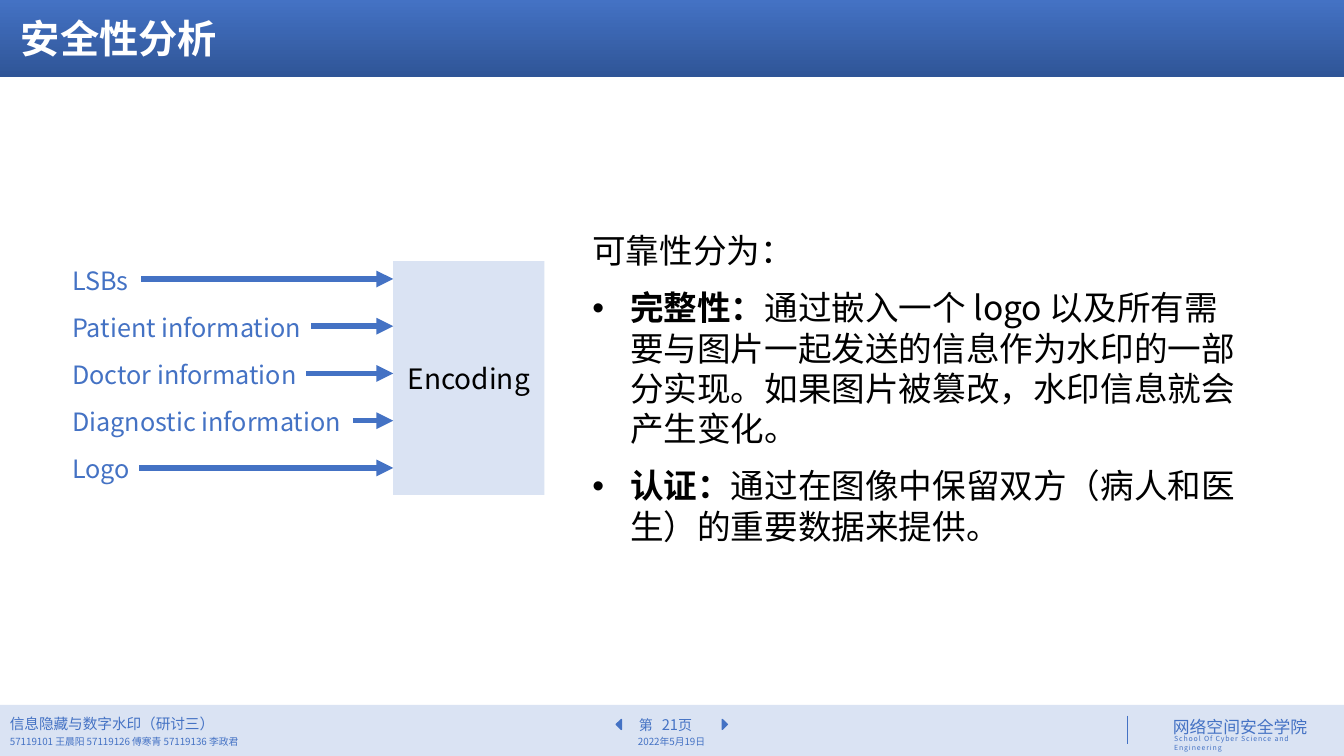
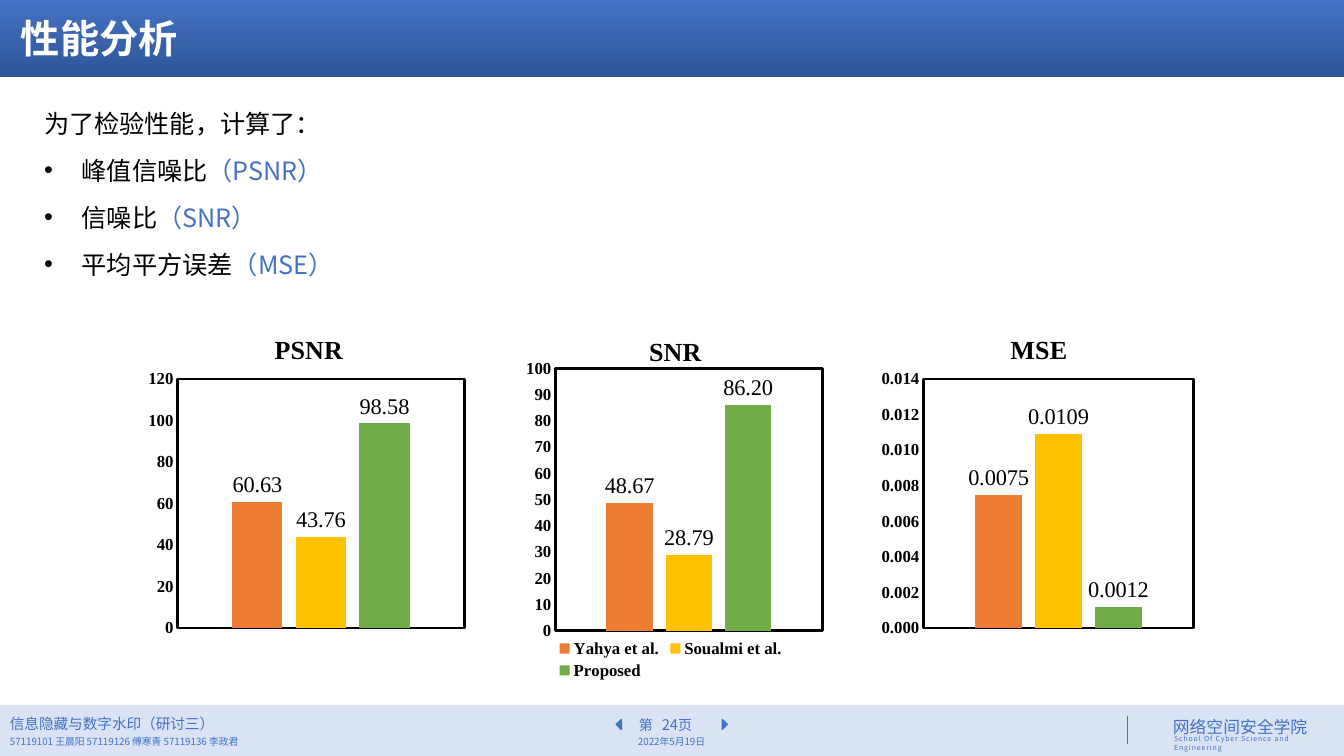
from dataclasses import dataclass

from lxml import etree
from pptx import Presentation
from pptx import util as u
from pptx.chart.data import CategoryChartData
from pptx.dml.color import RGBColor
from pptx.enum import chart as ch, shapes, text
from pptx.oxml import parse_xml
from pptx.oxml.ns import nsdecls, qn

Cm, Pt = u.Cm, u.Pt
LEFT, CENTER = text.PP_ALIGN.LEFT, text.PP_ALIGN.CENTER
TOP, MIDDLE = text.MSO_ANCHOR.TOP, text.MSO_ANCHOR.MIDDLE


@dataclass(frozen=True)
class Theme:
    blue: str = "4472C4"
    navy: str = "2F5597"
    pale: str = "DAE3F3"
    white: str = "FFFFFF"
    black: str = "000000"
    series: tuple = ("ED7D31", "FFC000", "70AD47")
    sans: str = "Noto Sans CJK SC"
    school: str = "Noto Sans CJK JP"
    serif: str = "Times New Roman"
    title: float = 28
    body: float = 24
    node: float = 20
    label: float = 18
    value: float = 16
    axis: float = 12
    footer: float = 10.5
    small: float = 7
    tiny: float = 5
    width: float = 33.87
    height: float = 19.05


T = Theme()


def rgb(color):
    return RGBColor.from_string(color)


def set_font(font, size, color=T.black, name=T.sans, bold=False):
    font.size, font.name, font.bold = Pt(size), name, bold
    font.color.rgb = rgb(color)


def add_run(p, words, size, color=T.black, name=T.sans, bold=False, spacing=0):
    """Add one run; spacing is the extra room after each letter in points."""
    r = p.add_run()
    r.text = words
    set_font(r.font, size, color, name, bold)
    props = r._r.get_or_add_rPr()
    etree.SubElement(props, qn("a:ea")).set("typeface", name)
    if spacing:
        props.set("spc", str(round(spacing * 100)))


def add_text(s, x, y, w, h, anchor=TOP):
    tf = s.shapes.add_textbox(Cm(x), Cm(y), Cm(w), Cm(h)).text_frame
    tf.word_wrap = True
    tf.vertical_anchor = anchor
    return tf


def add_label(s, words, x, y, w, h, size, color=T.blue, name=T.sans,
              align=LEFT, anchor=TOP, bold=False, spacing=0):
    p = add_text(s, x, y, w, h, anchor).paragraphs[0]
    p.alignment = align
    add_run(p, words, size, color, name, bold, spacing)


def add_box(s, x, y, w, h, fill, kind=shapes.MSO_SHAPE.RECTANGLE):
    sp = s.shapes.add_shape(kind, Cm(x), Cm(y), Cm(w), Cm(h))
    sp.shadow.inherit = False
    sp.fill.solid()
    sp.fill.fore_color.rgb = rgb(fill)
    sp.line.fill.background()
    return sp


def add_line(s, x1, y1, x2, y2, width, arrow=False):
    line = s.shapes.add_connector(
        shapes.MSO_CONNECTOR.STRAIGHT, Cm(x1), Cm(y1), Cm(x2), Cm(y2))
    line.line.color.rgb = rgb(T.blue)
    line.line.width = Pt(width)
    if arrow:
        etree.SubElement(line.line._get_or_add_ln(), qn("a:tailEnd")).set("type", "triangle")
    etree.SubElement(line._element.spPr, qn("a:effectLst"))


def add_bullets(s, x, y, w, h, size, intro, items):
    """Add an intro line and bullets; an item is a list of (words, font options)."""
    tf = add_text(s, x, y, w, h, MIDDLE)
    p = tf.paragraphs[0]
    p.space_after = Pt(12)
    add_run(p, intro, size)
    for item in items:
        p = tf.add_paragraph()
        p.space_after = Pt(12)
        props = p._p.get_or_add_pPr()
        indent = Cm(0.95)
        props.set("marL", str(indent))
        props.set("indent", str(-indent))
        etree.SubElement(props, qn("a:buFont")).set("typeface", "Arial")
        etree.SubElement(props, qn("a:buChar")).set("char", "•")
        for words, options in item:
            add_run(p, words, size, **options)


def add_header(s, title):
    band = add_box(s, 0, 0, T.width, 1.95, T.blue)
    band.fill.gradient()
    band.fill.gradient_angle = 270
    for stop, color in zip(band.fill.gradient_stops, (T.blue, T.navy)):
        stop.color.rgb = rgb(color)
    add_label(s, title, 0.28, 0.25, 33.22, 1.42, T.title, T.white,
              anchor=MIDDLE, bold=True)


def add_footer(s, page):
    add_box(s, 0, 17.76, T.width, 1.29, T.pale)
    add_label(s, "信息隐藏与数字水印（研讨三）", 0, 17.88, 11.35, 0.71, T.footer,
              anchor=MIDDLE)
    add_label(s, "57119101 王晨阳 57119126 傅寒青 57119136 李政君",
              0, 18.44, 11.35, 0.48, T.small, anchor=MIDDLE)
    add_label(s, "2022年5月19日", 15.39, 18.42, 3.07, 0.51, T.small,
              align=CENTER, anchor=MIDDLE)

    p = add_text(s, 15.85, 17.92, 2.3, 0.69, MIDDLE).paragraphs[0]
    add_run(p, "第", 10, T.blue, spacing=6.5)
    add_run(p, str(page), T.footer, T.blue)
    add_run(p, "页", 10, T.blue)
    for x, turn in ((15.47, 270), (18.14, 90)):
        sp = add_box(s, x, 18.19, 0.25, 0.13, T.blue,
                     shapes.MSO_SHAPE.ISOSCELES_TRIANGLE)
        sp.line.color.rgb = rgb(T.blue)
        sp.line.width = Pt(1)
        sp.rotation = turn

    add_line(s, 28.42, 18.03, 28.42, 18.75, 1)
    add_label(s, "网络空间安全学院", 29.31, 17.93, 3.96, 0.76, 12, name=T.school)
    add_label(s, "School Of Cyber Science and Engineering",
              29.34, 18.39, 4.52, 0.48, T.tiny, spacing=0.6)


def new_slide(prs, title, page):
    s = prs.slides.add_slide(prs.slide_layouts[6])
    add_header(s, title)
    add_footer(s, page)
    return s


def set_layout(parent, index, inner=False, **place):
    """Fix where a chart part stands, in fractions of the chart."""
    for old in parent.findall(qn("c:layout")):
        parent.remove(old)
    target = '<c:layoutTarget val="inner"/>' if inner else ""
    modes = "".join(f'<c:{k}Mode val="edge"/>' for k in place if k in "xy")
    sizes = "".join(f'<c:{k} val="{v}"/>' for k, v in place.items())
    parent.insert(index, parse_xml(
        f'<c:layout {nsdecls("c")}><c:manualLayout>{target}{modes}{sizes}'
        '</c:manualLayout></c:layout>'))


def add_frame(plot_area):
    plot_area.append(parse_xml(
        f'<c:spPr {nsdecls("c", "a")}><a:noFill/><a:ln w="{Pt(2)}"><a:solidFill>'
        f'<a:srgbClr val="{T.black}"/></a:solidFill></a:ln></c:spPr>'))


def add_bars(s, place, title, title_x, values, top, step, plot,
             axis_format="0", value_format="0.00", legend=False):
    """Add one column chart that compares the three methods."""
    data = CategoryChartData()
    data.categories = ["1"]
    for name, value in zip(("Yahya et al.", "Soualmi et al.", "Proposed"), values):
        data.add_series(name, [value])
    chart = s.shapes.add_chart(ch.XL_CHART_TYPE.COLUMN_CLUSTERED,
                               *map(Cm, place), data).chart
    set_font(chart.font, 10)

    chart.has_title = True
    add_run(chart.chart_title.text_frame.paragraphs[0], title, 18.6,
            name=T.serif, bold=True)
    chart.chart_title.include_in_layout = False
    set_layout(chart.chart_title._element, 1, x=title_x, y=0.06)

    chart.category_axis.visible = False
    axis = chart.value_axis
    axis.minimum_scale, axis.maximum_scale, axis.major_unit = 0, top, step
    axis.has_major_gridlines = False
    axis.major_tick_mark = ch.XL_TICK_MARK.NONE
    axis.format.line.fill.background()
    axis.tick_labels.number_format = axis_format
    axis.tick_labels.number_format_is_linked = False
    set_font(axis.tick_labels.font, T.axis, name=T.serif, bold=True)

    bars = chart.plots[0]
    bars.gap_width, bars.overlap, bars.vary_by_categories = 219, -27, False
    for series, color in zip(bars.series, T.series):
        series.format.fill.solid()
        series.format.fill.fore_color.rgb = rgb(color)
    bars.has_data_labels = True
    labels = bars.data_labels
    labels.show_value = True
    labels.position = ch.XL_LABEL_POSITION.OUTSIDE_END
    labels.number_format, labels.number_format_is_linked = value_format, False
    set_font(labels.font, T.value, name=T.serif)

    chart.has_legend = legend
    if legend:
        chart.legend.position = ch.XL_LEGEND_POSITION.BOTTOM
        chart.legend.include_in_layout = False
        set_font(chart.legend.font, T.axis, name=T.serif, bold=True)
    plot_area = chart._chartSpace.chart.plotArea
    set_layout(plot_area, 0, inner=True, **dict(zip("xywh", plot)))
    add_frame(plot_area)


def add_encoder(s):
    inputs = (("LSBs", 3.56), ("Patient information", 7.85),
              ("Doctor information", 7.72), ("Diagnostic information", 8.89),
              ("Logo", 3.51))
    left, top, step = 9.91, 6.55, 1.19
    box = add_box(s, left, 6.58, 3.81, 5.89, T.pale)
    box.text_frame.vertical_anchor = MIDDLE
    p = box.text_frame.paragraphs[0]
    p.alignment = CENTER
    add_run(p, "Encoding", T.node)
    for i, (words, start) in enumerate(inputs):
        y = top + i * step
        add_label(s, words, 1.57, y, 8.1, 1.02, T.label)
        add_line(s, start, y + 0.48, left, y + 0.48, 4, arrow=True)


def add_security(prs):
    s = new_slide(prs, "安全性分析", 21)
    bold = {"bold": True}
    add_bullets(s, 14.68, 5.64, 16.76, 8.28, T.body, "可靠性分为：", [
        [("完整性：", bold),
         ("通过嵌入一个 logo 以及所有需要与图片一起发送的信息作为水印的一部分实现。"
          "如果图片被篡改，水印信息就会产生变化。", {})],
        [("认证：", bold),
         ("通过在图像中保留双方（病人和医生）的重要数据来提供。", {})],
    ])
    add_encoder(s)


def add_performance(prs):
    s = new_slide(prs, "性能分析", 24)
    measures = (("峰值信噪比", "PSNR"), ("信噪比", "SNR"), ("平均平方误差", "MSE"))
    add_bullets(s, 0.86, 2.57, 18.11, 4.62, T.label, "为了检验性能，计算了：", [
        [(name, {}), (f"（{short}）", {"color": T.blue})] for name, short in measures])

    left, pitch, top, width = 3.56, 9.19, 7.77, 8.31
    add_bars(s, (left, top, width, 8.48), "PSNR", 0.39, (60.63, 43.76, 98.58),
             120, 20, (0.11, 0.21, 0.87, 0.74))
    add_bars(s, (left + pitch, top, width, 9.45), "SNR", 0.42, (48.67, 28.79, 86.2),
             100, 10, (0.15, 0.16, 0.81, 0.7), legend=True)
    add_bars(s, (left + 2 * pitch, top, width, 8.48), "MSE", 0.41,
             (0.0075, 0.0109, 0.0012), 0.014, 0.002, (0.16, 0.21, 0.82, 0.74),
             axis_format="0.000", value_format="0.0000")


def main():
    prs = Presentation()
    prs.slide_width, prs.slide_height = Cm(T.width), Cm(T.height)
    add_security(prs)
    add_performance(prs)
    prs.save("out.pptx")


if __name__ == "__main__":
    main()
